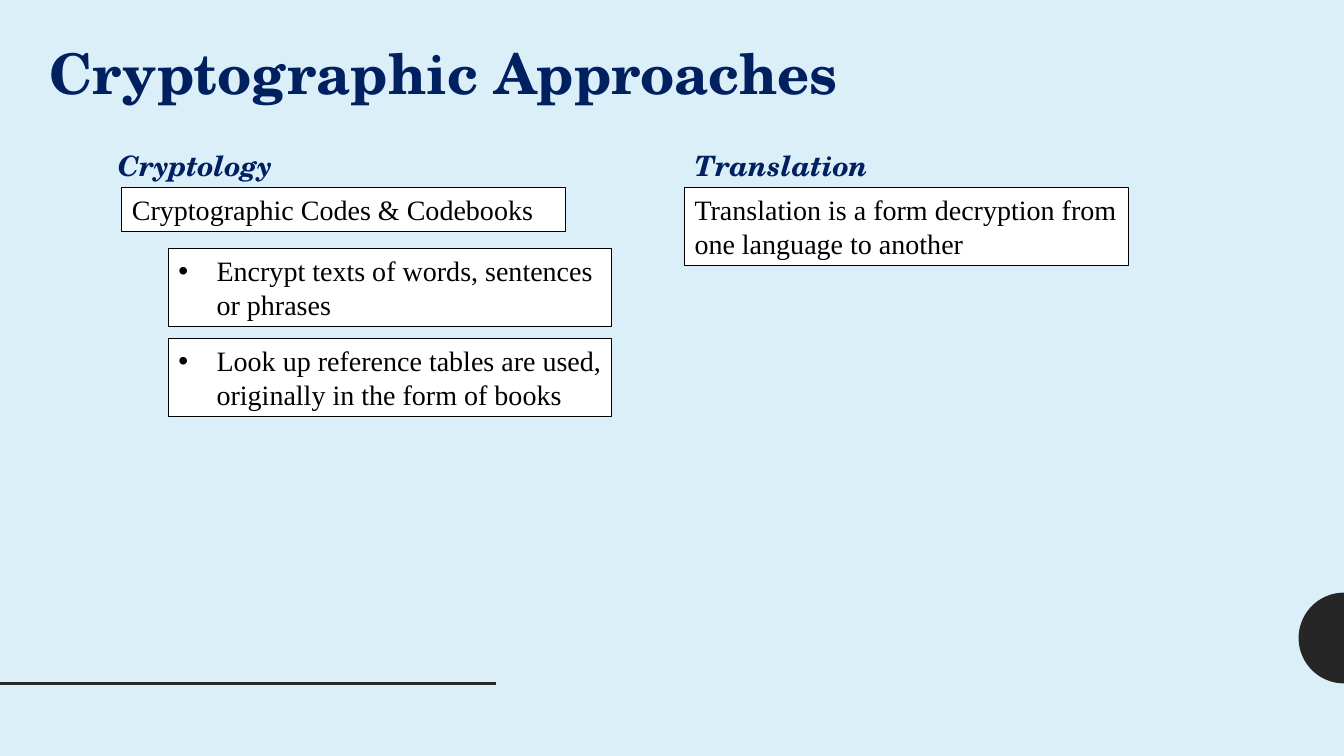
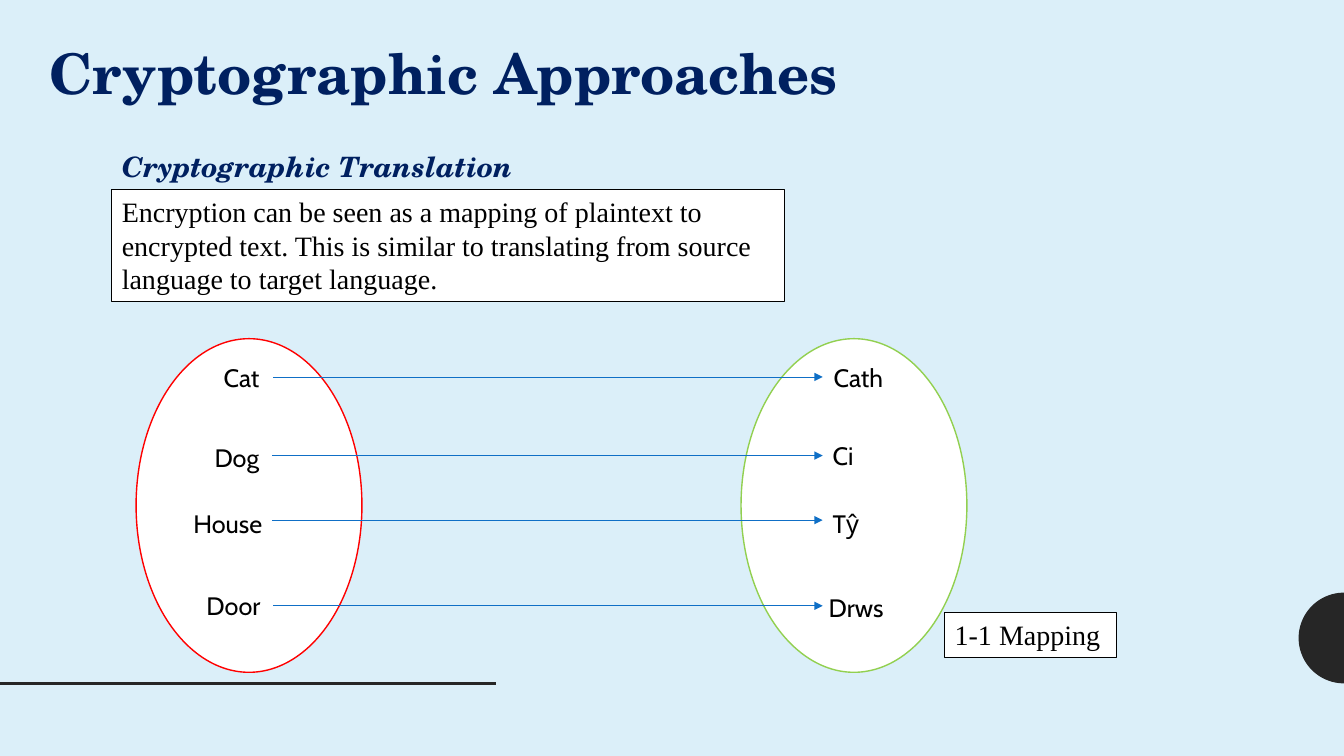
"""Build two slides on cryptographic approaches."""
from math import cos, pi, sin

from lxml import etree
from pptx import Presentation
from pptx.dml.color import RGBColor
from pptx.enum.shapes import MSO_CONNECTOR, MSO_SHAPE
from pptx.enum.text import MSO_AUTO_SIZE
from pptx.oxml.ns import qn
from pptx.util import Inches, Pt

STRAIGHT = MSO_CONNECTOR.STRAIGHT
OVAL = MSO_SHAPE.OVAL
GROW = MSO_AUTO_SIZE.SHAPE_TO_FIT_TEXT
BLANK = 6

COLORS = {
    "sky": "DBEFF9",
    "navy": "002060",
    "dark": "262626",
    "black": "000000",
    "white": "FFFFFF",
    "red": "FF0000",
    "green": "92D050",
    "blue": "0F6FC6",
}
HEAD = "TeX Gyre Schola"
BODY = "Times New Roman"
LABEL = "Cabin"

WORDS = [
    (3.74, 2.71, ("Cat", 2.12, 3.55, 0.76), ("Cath", 8.17, 3.55, 0.7)),
    (4.52, 2.7, ("Dog", 2.03, 4.34, 0.85), ("Ci", 8.16, 4.32, 0.43)),
    (5.16, 2.7, ("House", 1.82, 4.99, 1), ("Tŷ", 8.16, 4.99, 0.62)),
    (6.01, 2.71, ("Door", 1.95, 5.81, 1), ("Drws", 8.12, 5.83, 0.75)),
]


def rgb(name):
    """Return the named colour."""
    return RGBColor.from_string(COLORS[name])


def paint(shape, fill, line=None, width=0.75):
    """Set the fill and outline of a shape."""
    shape.fill.solid()
    shape.fill.fore_color.rgb = rgb(fill)
    if line:
        shape.line.color.rgb = rgb(line)
        shape.line.width = Pt(width)
    else:
        shape.line.fill.background()


def add_text(slide, text, left, top, width, height, *, size=20, font=BODY,
             color="black", bold=False, italic=False, wrap=True):
    """Add a text box and return it."""
    box = slide.shapes.add_textbox(
        Inches(left), Inches(top), Inches(width), Inches(height))
    frame = box.text_frame
    frame.word_wrap = wrap
    frame.auto_size = GROW
    run = frame.paragraphs[0].add_run()
    run.text = text
    run.font.size = Pt(size)
    run.font.name = font
    run.font.bold = bold
    run.font.italic = italic
    run.font.color.rgb = rgb(color)
    return box


def add_note(slide, text, left, top, width, height, bullet=False):
    """Add a white framed box of body text."""
    box = add_text(slide, text, left, top, width, height)
    paint(box, "white", "black")
    if bullet:
        props = box.text_frame.paragraphs[0]._p.get_or_add_pPr()
        props.set("marL", str(Inches(0.38)))
        props.set("indent", str(Inches(-0.38)))
        etree.SubElement(props, qn("a:buFont")).set("typeface", "Arial")
        etree.SubElement(props, qn("a:buChar")).set("char", "•")


def add_head(slide, text, left, top, width):
    """Add an italic section heading."""
    add_text(slide, text, left, top, width, 0.44, font=HEAD, color="navy",
             bold=True, italic=True, wrap=False)


def add_line(slide, start, end, top, color, width, arrow=False):
    """Add a level line, with an arrowhead if asked."""
    line = slide.shapes.add_connector(
        STRAIGHT, Inches(start), Inches(top), Inches(end), Inches(top))
    line.line.color.rgb = rgb(color)
    line.line.width = Pt(width)
    if arrow:
        tail = etree.SubElement(line.line._get_or_add_ln(), qn("a:tailEnd"))
        tail.set("type", "triangle")
    etree.SubElement(line._element.spPr, qn("a:effectLst"))


def add_oval(slide, left, color):
    """Add a white word set with a coloured rim."""
    oval = slide.shapes.add_shape(
        OVAL, Inches(left), Inches(3.36), Inches(2.24), Inches(3.31))
    oval.shadow.inherit = False
    paint(oval, "white", color, 1)


def add_knob(slide):
    """Add the dark half disc at the right edge."""
    mid, radius, steps = 6.33, 0.45, 48
    turns = [pi * step / steps for step in range(steps + 1)]
    points = [(Inches(13.33 - radius * sin(turn)),
               Inches(mid - radius * cos(turn))) for turn in turns]
    path = slide.shapes.build_freeform(*points[0])
    path.add_line_segments(points[1:], close=True)
    knob = path.convert_to_shape()
    knob.shadow.inherit = False
    paint(knob, "dark")


def add_slide(deck):
    """Add a slide with the shared backdrop and title."""
    slide = deck.slides.add_slide(deck.slide_layouts[BLANK])
    fill = slide.background.fill
    fill.solid()
    fill.fore_color.rgb = rgb("sky")
    add_knob(slide)
    add_line(slide, 0, 4.92, 6.78, "dark", 2)
    add_text(slide, "Cryptographic Approaches", 0.39, 0.33, 8.08, 0.77,
             size=40, font=HEAD, color="navy", bold=True, wrap=False)
    return slide


def add_fields(deck):
    """Build the slide on cryptology and translation."""
    slide = add_slide(deck)
    add_note(slide, "Cryptographic Codes & Codebooks", 1.21, 1.86, 4.4, 0.44)
    add_note(slide, "Encrypt texts of words, sentences or phrases",
             1.67, 2.47, 4.4, 0.77, bullet=True)
    add_note(slide, "Look up reference tables are used, originally in the "
             "form of books", 1.67, 3.36, 4.4, 0.77, bullet=True)
    add_note(slide, "Translation is a form decryption from one language to "
             "another", 6.79, 1.86, 4.4, 0.77)
    add_head(slide, "Cryptology", 1.07, 1.42, 1.75)
    add_head(slide, "Translation", 6.79, 1.42, 1.94)


def add_map(deck):
    """Build the slide that maps words to words."""
    slide = add_slide(deck)
    add_note(slide, "Encryption can be seen as a mapping of plaintext to "
             "encrypted text. This is similar to translating from source "
             "language to target language.", 1.11, 1.88, 6.67, 1.11)
    add_head(slide, "Cryptographic Translation", 1.11, 1.43, 4.12)
    add_oval(slide, 1.35, "red")
    add_oval(slide, 7.35, "green")
    for level, start, *pair in WORDS:
        add_line(slide, start, 8.16, level, "blue", 0.5, arrow=True)
        for word, left, top, width in pair:
            add_text(slide, word, left, top, width, 0.4, size=18, font=LABEL)
    add_note(slide, "1-1 Mapping", 9.37, 6.08, 1.7, 0.44)


def main():
    """Build and save the deck."""
    deck = Presentation()
    deck.slide_width = Inches(13.33)
    deck.slide_height = Inches(7.5)
    add_fields(deck)
    add_map(deck)
    deck.save("out.pptx")


main()
